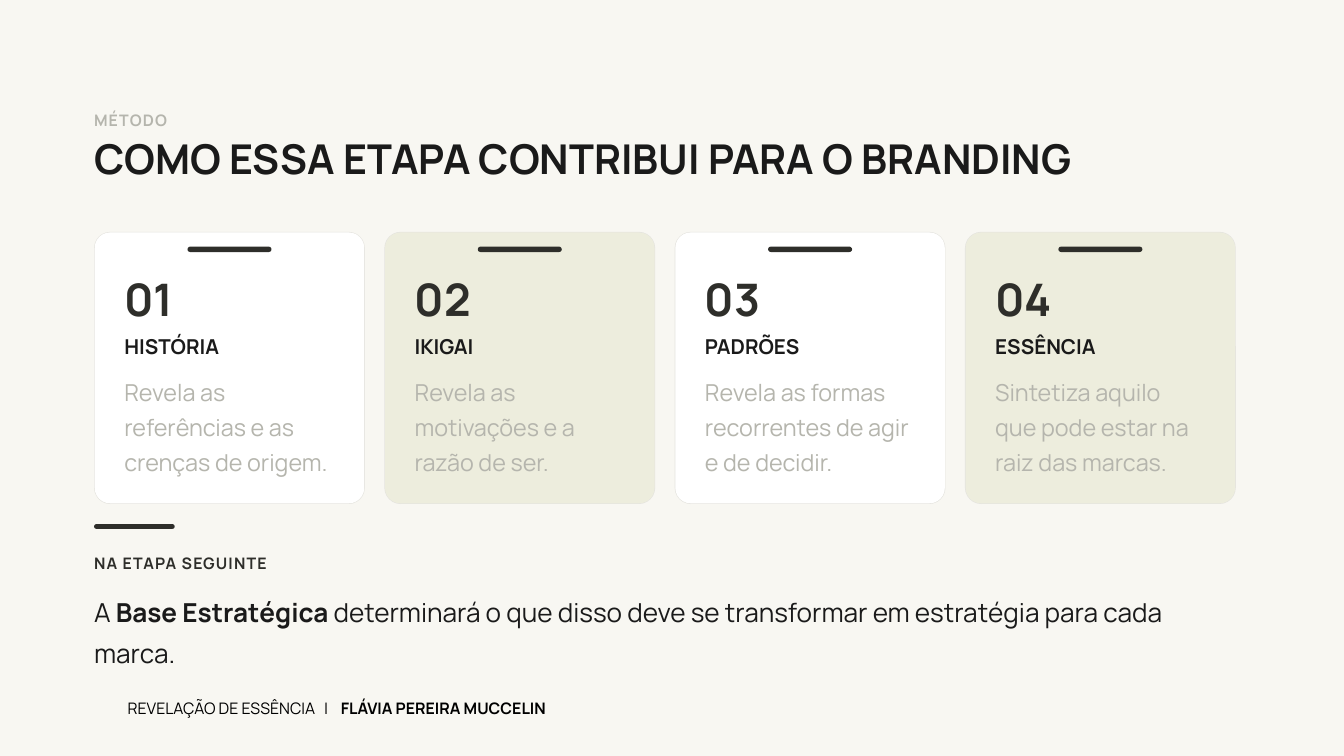
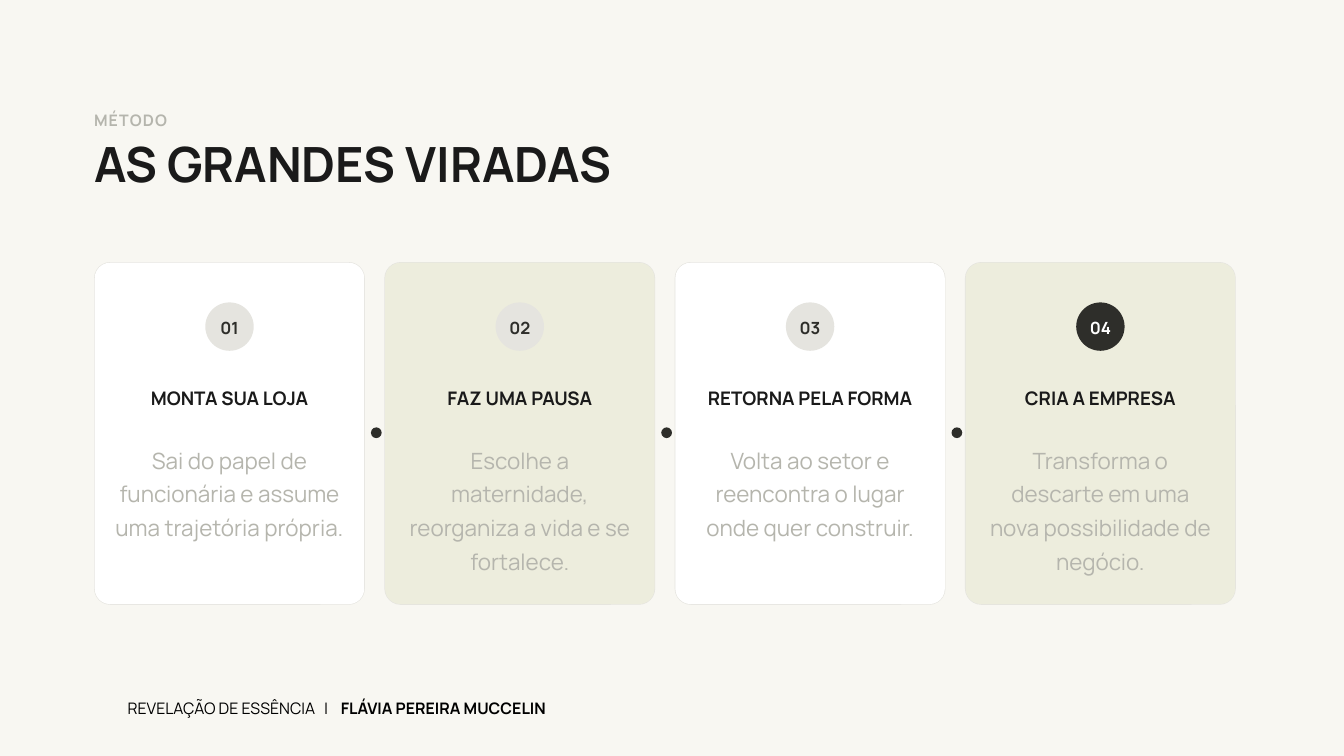
from typing import NamedTuple

from lxml import etree
from pptx import Presentation
from pptx.dml.color import RGBColor
from pptx.enum.shapes import MSO_SHAPE
from pptx.enum.text import MSO_ANCHOR, MSO_AUTO_SIZE, PP_ALIGN
from pptx.oxml.ns import qn
from pptx.util import Pt

ROUND, OVAL = MSO_SHAPE.ROUNDED_RECTANGLE, MSO_SHAPE.OVAL
LEFT, CENTER = PP_ALIGN.LEFT, PP_ALIGN.CENTER
TOP, MIDDLE = MSO_ANCHOR.TOP, MSO_ANCHOR.MIDDLE
GROW = MSO_AUTO_SIZE.SHAPE_TO_FIT_TEXT

FONT = "Manrope"
COLORS = {
    "paper": "F8F7F2", "white": "FFFFFF", "sage": "EDEDDD", "edge": "E5E4DF",
    "dark": "2E2E2A", "ink": "1A1A1A", "muted": "B5B5AD", "black": "000000",
}
MARGIN = 100.8
CARD_W = 290.16
PITCH = 311.04
RIM = 0.72
BADGE = 51.84
DOT = 11.52


class Box(NamedTuple):
    x: float
    y: float
    w: float
    h: float


class Style(NamedTuple):
    size: float
    color: str
    bold: bool = False
    lead: float = 1.15
    align: PP_ALIGN = LEFT
    anchor: MSO_ANCHOR = TOP
    track: int = 0


class Card(NamedTuple):
    head: str
    body: str


LABEL = Style(17, "muted", True, track=120)
TITLE = Style(44, "ink", True, 1.05)
NUMBER = Style(48, "dark", True, 1.18)
HEAD = Style(22, "ink", True, 1.18)
BODY = Style(25, "muted", lead=1.25)
CLOSING = Style(28, "ink", lead=1.28)
FOOTER = Style(17, "black")
MARK = Style(18, "dark", True, align=CENTER, anchor=MIDDLE)

STAGES = [
    Card("HISTÓRIA", "Revela as referências e as crenças de origem."),
    Card("IKIGAI", "Revela as motivações e a razão de ser."),
    Card("PADRÕES", "Revela as formas recorrentes de agir e de decidir."),
    Card("ESSÊNCIA", "Sintetiza aquilo que pode estar na raiz das marcas."),
]
TURNS = [
    Card("MONTA SUA LOJA",
         "Sai do papel de funcionária e assume uma trajetória própria."),
    Card("FAZ UMA PAUSA",
         "Escolhe a maternidade, reorganiza a vida e se fortalece."),
    Card("RETORNA PELA FORMA",
         "Volta ao setor e reencontra o lugar onde quer construir."),
    Card("CRIA A EMPRESA",
         "Transforma o descarte em uma nova possibilidade de negócio."),
]


def rgb(name: str) -> RGBColor:
    return RGBColor.from_string(COLORS[name])


def points(box: Box) -> list:
    return [Pt(side) for side in box]


def add_form(slide, kind, box: Box, color: str, curve: float = 0) -> None:
    form = slide.shapes.add_shape(kind, *points(box))
    form.shadow.inherit = False
    form.fill.solid()
    form.fill.fore_color.rgb = rgb(color)
    form.line.fill.background()
    if curve:
        form.adjustments[0] = curve


def add_text(slide, box: Box, style: Style, *runs: tuple[str, bool],
             tabs: tuple = ()) -> None:
    """Add one paragraph made of (text, bold) runs."""
    frame = slide.shapes.add_textbox(*points(box)).text_frame
    frame.word_wrap = True
    frame.auto_size = GROW
    frame.vertical_anchor = style.anchor
    frame.margin_left = frame.margin_right = 0
    frame.margin_top = frame.margin_bottom = 0
    para = frame.paragraphs[0]
    if tabs:
        stops = etree.SubElement(para._p.get_or_add_pPr(), qn("a:tabLst"))
        for stop in tabs:
            etree.SubElement(stops, qn("a:tab"), pos=str(Pt(stop)), algn="l")
    para.alignment = style.align
    para.line_spacing = style.lead
    for text, bold in runs:
        run = para.add_run()
        run.text = text
        font = run.font
        font.name, font.size, font.bold = FONT, Pt(style.size), bold
        font.color.rgb = rgb(style.color)
        if style.track:
            run._r.get_or_add_rPr().set("spc", str(style.track))


def add_line(slide, box: Box, style: Style, text: str) -> None:
    """Add text that has a single run."""
    add_text(slide, box, style, (text, style.bold))


def add_bar(slide, box: Box) -> None:
    add_form(slide, ROUND, box, "dark", 0.5)


def add_panel(slide, index: int, top: float, height: float) -> float:
    """Draw a card with its rim and return its left edge."""
    left = MARGIN + index * PITCH
    add_form(slide, ROUND, Box(left, top, CARD_W, height), "edge", 0.06)
    inner = Box(left + RIM, top + RIM, CARD_W - 2 * RIM, height - 2 * RIM)
    add_form(slide, ROUND, inner, "sage" if index % 2 else "white", 0.057)
    return left


def start_slide(deck, title: str, size: float, height: float):
    slide = deck.slides.add_slide(deck.slide_layouts[6])
    slide.background.fill.solid()
    slide.background.fill.fore_color.rgb = rgb("paper")
    add_line(slide, Box(MARGIN, 115.2, 1008, 32.4), LABEL, "MÉTODO")
    add_line(slide, Box(MARGIN, 140.4, 1238.4, height),
             TITLE._replace(size=size), title)
    return slide


def add_footer(slide) -> None:
    add_text(slide, Box(136.8, 745.92, 828, 28.8), FOOTER,
             ("REVELAÇÃO DE ESSÊNCIA\t|\t", False),
             ("FLÁVIA PEREIRA MUCCELIN", True), tabs=(210.5, 228.5))


def build_stages(deck) -> None:
    slide = start_slide(deck, "COMO ESSA ETAPA CONTRIBUI PARA O BRANDING",
                        44, 63.36)
    for index, card in enumerate(STAGES):
        left = add_panel(slide, index, 248.4, 291.6)
        add_bar(slide, Box(left + (CARD_W - 90) / 2, 264.24, 90, 5.76))
        x, w = left + 32.4, CARD_W - 64.8
        add_line(slide, Box(x, 280.8, w, 71.28), NUMBER, f"{index + 1:02}")
        add_line(slide, Box(x, 352.8, w, 40.32), HEAD, card.head)
        add_line(slide, Box(x, 397.44, w, 136.8), BODY, card.body)
    add_bar(slide, Box(MARGIN, 561.6, 86.4, 5.04))
    add_line(slide, Box(MARGIN, 590.4, 1195.2, 28.8),
             LABEL._replace(color="dark"), "NA ETAPA SEGUINTE")
    add_text(slide, Box(MARGIN, 630, 1195.2, 180), CLOSING,
             ("A ", False), ("Base Estratégica", True),
             (" determinará o que disso deve se transformar em estratégia "
              "para cada marca.", False))
    add_footer(slide)


def build_turns(deck) -> None:
    slide = start_slide(deck, "AS GRANDES VIRADAS", 52, 72.72)
    head = HEAD._replace(size=20, align=CENTER)
    body = BODY._replace(size=24, align=CENTER)
    last = len(TURNS) - 1
    for index, card in enumerate(TURNS):
        left = add_panel(slide, index, 280.8, 367.2)
        badge = Box(left + (CARD_W - BADGE) / 2, 324, BADGE, BADGE)
        fill, color = ("dark", "white") if index == last else ("edge", "dark")
        add_form(slide, OVAL, badge, fill)
        add_line(slide, badge, MARK._replace(color=color), f"{index + 1:02}")
        x, w = left + 21.6, CARD_W - 43.2
        add_line(slide, Box(x, 410.4, w, 38.16), head, card.head)
        add_line(slide, Box(x, 471.6, w, 158.4), body, card.body)
        if index < last:
            add_form(slide, OVAL,
                     Box(left + CARD_W + 6.48, 457.92, DOT, DOT), "dark")
    add_footer(slide)


def main() -> None:
    deck = Presentation()
    deck.slide_width, deck.slide_height = Pt(1440), Pt(810)
    build_stages(deck)
    build_turns(deck)
    deck.save("out.pptx")


if __name__ == "__main__":
    main()
